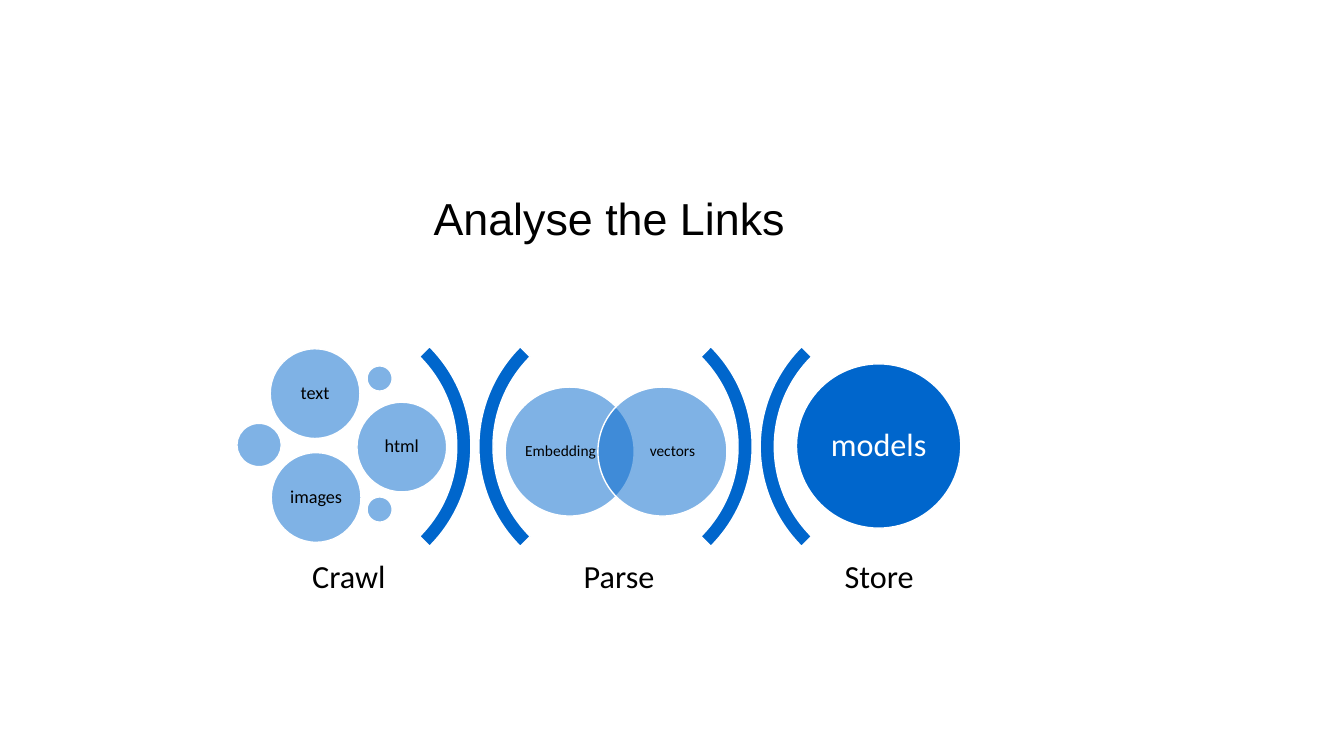
from pptx import Presentation
from pptx.dml.color import RGBColor
from pptx.enum.shapes import MSO_SHAPE as SHAPE
from pptx.enum.text import MSO_ANCHOR as ANCHOR, PP_ALIGN as ALIGN
from pptx.oxml import parse_xml
from pptx.oxml.ns import nsdecls
from pptx.util import Inches, Pt

BLUE = RGBColor(0x00, 0x66, 0xCC)
WHITE = RGBColor(0xFF, 0xFF, 0xFF)
BLACK = RGBColor(0x00, 0x00, 0x00)

STAGE_TOP = 3.46
STAGE_WIDTH = 2.12
ARC_SIZE = 2.8
ARC_GAP = 2.88


def format_text(tf, text, size, font, color, align, anchor, inset=0):
    tf.word_wrap = True
    tf.vertical_anchor = anchor
    tf.margin_left = tf.margin_right = Inches(inset)
    tf.margin_top = tf.margin_bottom = Inches(inset)
    tf.text = text
    p = tf.paragraphs[0]
    p.alignment = align
    p.line_spacing = 0.9
    r = p.runs[0]
    r.font.size = Pt(size)
    r.font.name = font
    r.font.color.rgb = color


def add_title(s, x, y, w, h):
    sp = s.shapes.title
    sp.left, sp.top, sp.width, sp.height = map(Inches, (x, y, w, h))
    format_text(sp.text_frame, "Analyse the Links", 32, "Arial", BLACK,
                ALIGN.LEFT, ANCHOR.BOTTOM)


def add_label(s, text, x, y, w, h, size, inset, color=BLACK):
    sp = s.shapes.add_textbox(*map(Inches, (x, y, w, h)))
    format_text(sp.text_frame, text, size, "Calibri", color,
                ALIGN.CENTER, ANCHOR.MIDDLE, inset)


def add_blue_shape(s, kind, x, y, w, h):
    sp = s.shapes.add_shape(kind, *map(Inches, (x, y, w, h)))
    sp.shadow.inherit = False
    sp.fill.solid()
    sp.fill.fore_color.rgb = BLUE
    sp.line.color.rgb = WHITE
    sp.line.width = Pt(1)
    return sp


def add_bubble(s, x, y, w, h):
    sp = add_blue_shape(s, SHAPE.OVAL, x, y, w, h)
    color = sp.fill._xPr.find(".//{*}srgbClr")
    color.append(parse_xml(f'<a:alpha {nsdecls("a")} val="50000"/>'))


def add_brackets(s, x, y):
    for left, rotation in ((x, 90), (x + ARC_GAP, 270)):
        sp = add_blue_shape(s, SHAPE.BLOCK_ARC, left, y, ARC_SIZE, ARC_SIZE)
        for i, value in enumerate((135, 189, 0.05)):
            sp.adjustments[i] = value
        sp.rotation = rotation


def add_caption(s, text, x, y):
    add_label(s, text, x, y + 2, STAGE_WIDTH, 0.56, 23, 0.1)


def add_crawl(s, x, y):
    for dx, dy, w, h in ((-0.05, 0.74, 0.44, 0.43), (1.24, 0.17, 0.25, 0.25),
                         (1.24, 1.47, 0.25, 0.25)):
        add_bubble(s, x + dx, y + dy, w, h)
    for text, dx, dy in (("text", 0.28, 0), ("html", 1.14, 0.53),
                         ("images", 0.29, 1.03)):
        add_bubble(s, x + dx, y + dy, 0.89, 0.89)
        add_label(s, text, x + dx + 0.13, y + dy + 0.13, 0.63, 0.63, 13, 0.05)
    add_caption(s, "Crawl", x, y)


def add_parse(s, x, y):
    for text, dx, text_dx in (("Embedding", -0.07, 0.11),
                              ("vectors", 0.85, 1.22)):
        add_bubble(s, x + dx, y + 0.38, 1.28, 1.28)
        add_label(s, text, x + text_dx, y + 0.53, 0.74, 0.98, 11, 0)
    add_caption(s, "Parse", x, y)


def add_store(s, x, y):
    add_blue_shape(s, SHAPE.OVAL, x + 0.24, y + 0.15, 1.63, 1.63)
    add_label(s, "models", x + 0.48, y + 0.39, 1.15, 1.15, 23, 0.1, WHITE)
    add_caption(s, "Store", x, y)


def main():
    prs = Presentation()
    prs.slide_width = Inches(13.33)
    prs.slide_height = Inches(7.5)
    s = prs.slides.add_slide(prs.slide_layouts[5])
    add_title(s, 4.3, 0.68, 4.3, 1.75)
    for x in (1.87, 4.66):
        add_brackets(s, x, 3.03)
    add_crawl(s, 2.4, STAGE_TOP)
    add_parse(s, 5.08, STAGE_TOP)
    add_store(s, 7.66, STAGE_TOP)
    prs.save("out.pptx")


if __name__ == "__main__":
    main()
